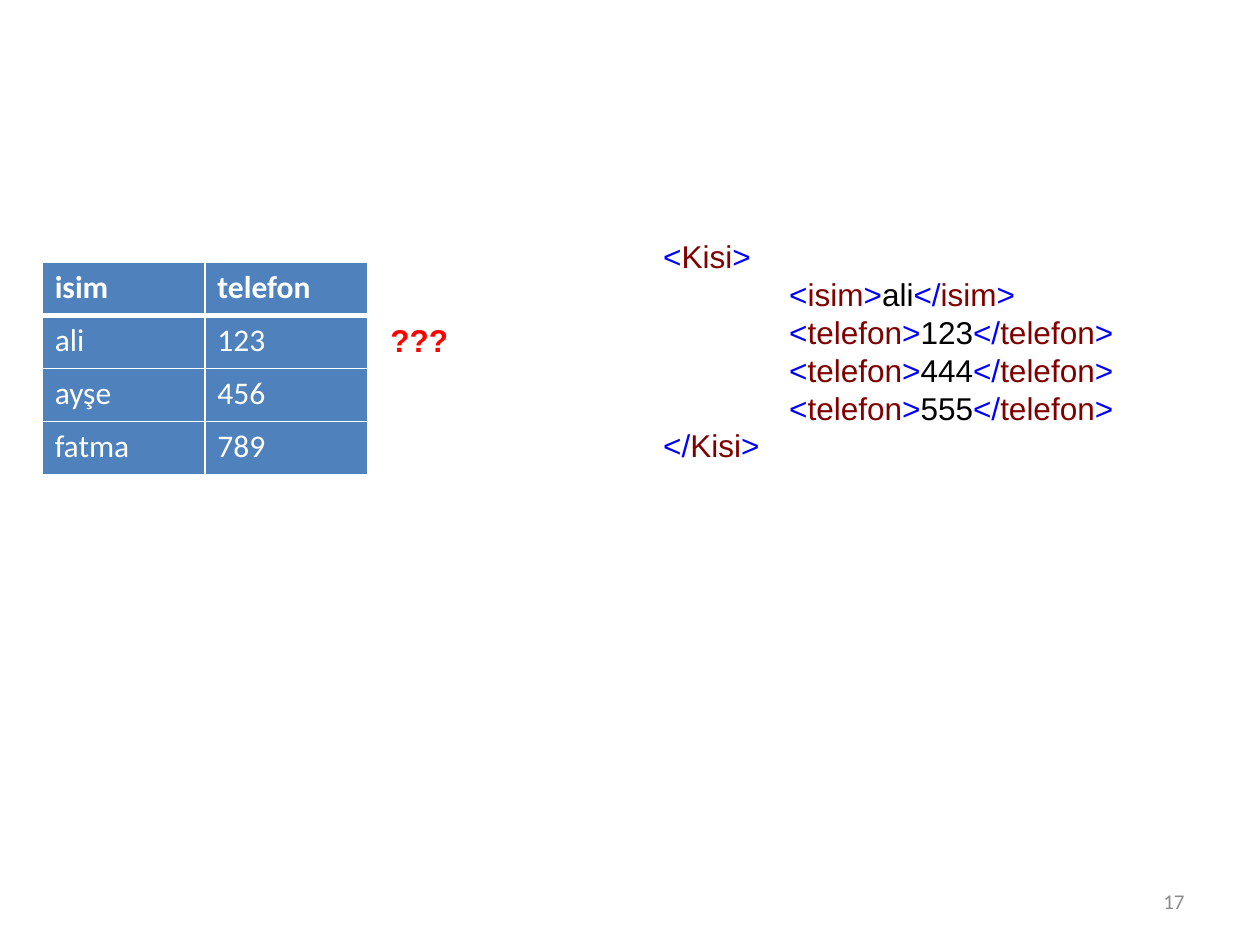
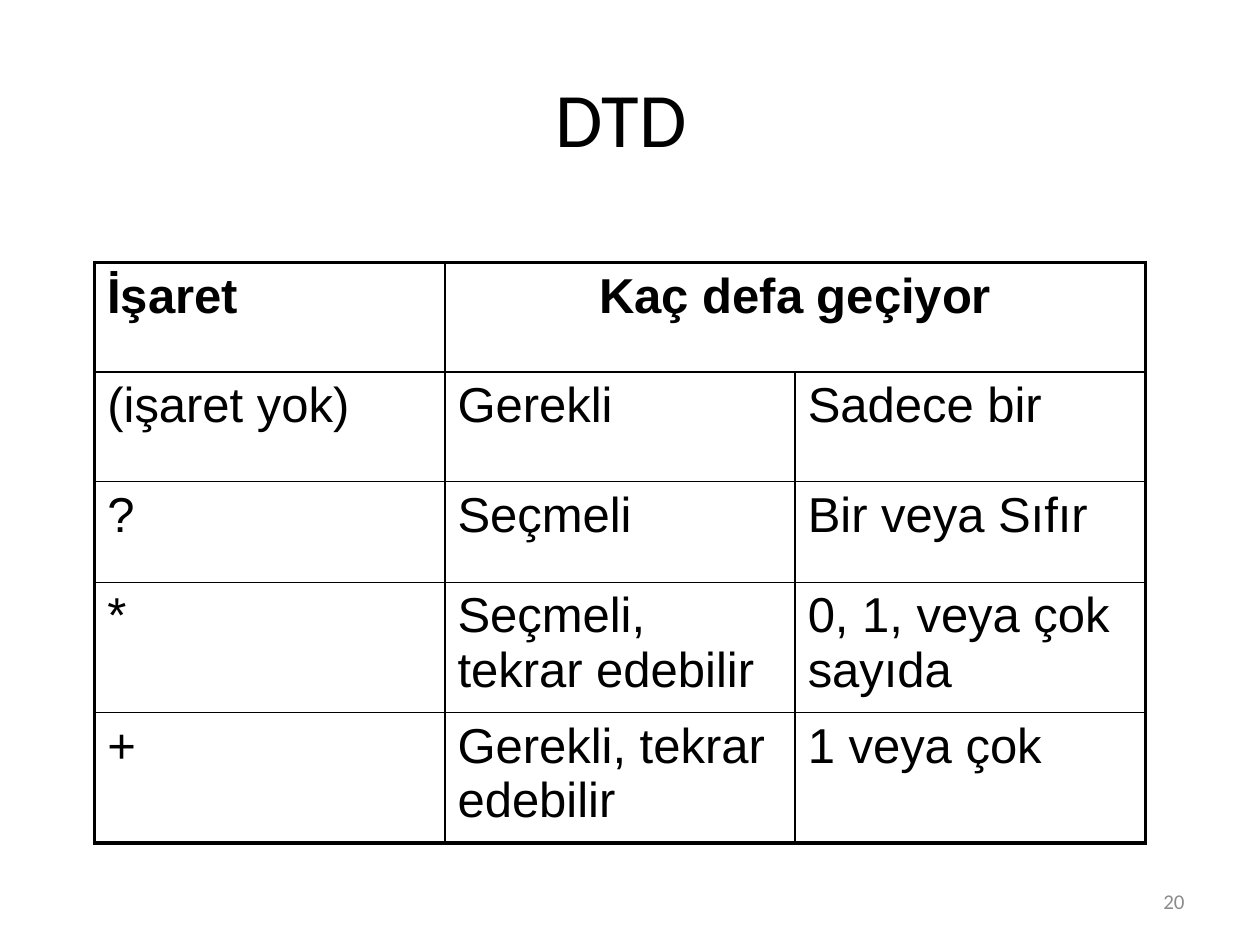
from lxml.etree import SubElement
from pptx import Presentation
from pptx.dml.color import RGBColor
from pptx.enum.text import MSO_ANCHOR as Anchor, MSO_AUTO_SIZE as AutoSize, PP_ALIGN as Align
from pptx.oxml.ns import qn
from pptx.util import Cm, Pt

BLACK, WHITE, RED = "000000", "FFFFFF", "FF0000"
BLUE, BRACKET, TAG, GREY = "4F81BD", "0000FF", "800000", "8C8C8C"
TITLE_BOX = (1.27, 0.76, 22.86, 3.18)
NUMBER_BOX = (18.21, 17.65, 5.92, 1.02)
TITLE_FONT = dict(name="Calibri", size=Pt(44), color=BLACK)
NUMBER_FONT = dict(name="Calibri", size=Pt(12), color=GREY)
CODE_FONT = dict(name="Arial", size=Pt(18))
CONTACT_FONT = dict(name="Calibri", size=Pt(18), color=WHITE)
SIGN_FONT = dict(name="Arial", size=Pt(28), color=BLACK)
THIN, THICK = 1, 2.25

CONTACTS = [("isim", "telefon"), ("ali", "123"), ("ayşe", "456"), ("fatma", "789")]
PERSON = [("isim", "ali"), ("telefon", "123"), ("telefon", "444"), ("telefon", "555")]
SIGNS = [
    ("İşaret", "Kaç defa geçiyor", ""),
    ("(işaret yok)", "Gerekli", "Sadece bir"),
    ("?", "Seçmeli", "Bir veya Sıfır"),
    ("*", "Seçmeli, tekrar edebilir", "0, 1, veya çok sayıda"),
    ("+", "Gerekli, tekrar edebilir", "1 veya çok"),
]


def rgb(hex_color):
    return RGBColor.from_string(hex_color)


def write(paragraph, text, style):
    run = paragraph.add_run()
    run.text = text
    for key, value in style.items():
        if key == "color":
            run.font.color.rgb = rgb(value)
        else:
            setattr(run.font, key, value)


def add_text_frame(slide, box, **options):
    frame = slide.shapes.add_textbox(*map(Cm, box)).text_frame
    for key, value in {"word_wrap": True, **options}.items():
        setattr(frame, key, value)
    return frame


def add_slide(deck, layout, number):
    """Add a slide that carries its page number."""
    slide = deck.slides.add_slide(deck.slide_layouts[layout])
    paragraph = add_text_frame(slide, NUMBER_BOX, vertical_anchor=Anchor.MIDDLE).paragraphs[0]
    paragraph.alignment = Align.RIGHT
    write(paragraph, number, NUMBER_FONT)
    return slide


def set_borders(cell, color, widths):
    """Draw the cell's edges; widths are in left, right, top, bottom order."""
    properties = cell._tc.get_or_add_tcPr()
    for edge, width in zip(("lnL", "lnR", "lnT", "lnB"), widths):
        line = SubElement(properties, qn(f"a:{edge}"), w=str(Pt(width)))
        SubElement(SubElement(line, qn("a:solidFill")), qn("a:srgbClr"), val=color)


def add_grid(slide, left, top, column_width, row_heights, rows, style):
    """Add a table with a bold first row and no built-in banding."""
    columns = len(rows[0])
    box = (left, top, column_width * columns, sum(row_heights))
    table = slide.shapes.add_table(len(rows), columns, *map(Cm, box)).table
    table.first_row = table.horz_banding = False
    for column in table.columns:
        column.width = Cm(column_width)
    for r, (row, height) in enumerate(zip(rows, row_heights)):
        table.rows[r].height = Cm(height)
        for c, text in enumerate(row):
            if text:
                write(table.cell(r, c).text_frame.paragraphs[0], text, {**style, "bold": r == 0})
    return table


def add_contact_table(slide, left, top):
    table = add_grid(slide, left, top, 3.28, [1.07] * len(CONTACTS), CONTACTS, CONTACT_FONT)
    for r in range(len(CONTACTS)):
        for cell in table.rows[r].cells:
            set_borders(cell, WHITE, (1, 1, 3 if r == 1 else 1, 3 if r == 0 else 1))
            cell.fill.solid()
            cell.fill.fore_color.rgb = rgb(BLUE)


def add_sign_table(slide, left, top):
    table = add_grid(slide, left, top, 7.06, [2.21, 2.21, 2.03, 2.46, 2.46], SIGNS, SIGN_FONT)
    heading = table.cell(0, 1)
    heading.merge(table.cell(0, 2))
    heading.text_frame.paragraphs[0].alignment = Align.CENTER
    last_row, last_column = len(SIGNS) - 1, len(SIGNS[0]) - 1
    for r in range(last_row + 1):
        for c in range(last_column + 1):
            cell = table.cell(r, c)
            right = c + (cell.span_width if cell.is_merge_origin else 1) - 1
            outer = (c == 0, right == last_column, r == 0, r == last_row)
            set_borders(cell, BLACK, [THICK if edge else THIN for edge in outer])
            cell.fill.background()


def opening(tag):
    return [("<", BRACKET), (tag, TAG), (">", BRACKET)]


def closing(tag):
    return [("</", BRACKET), (tag, TAG), (">", BRACKET)]


def add_person_xml(slide, box):
    fields = [(2, opening(tag) + [(value, BLACK)] + closing(tag)) for tag, value in PERSON]
    lines = [(1, opening("Kisi")), *fields, (1, closing("Kisi"))]
    frame = add_text_frame(slide, box, auto_size=AutoSize.SHAPE_TO_FIT_TEXT)
    for i, (level, pieces) in enumerate(lines):
        paragraph = frame.add_paragraph() if i else frame.paragraphs[0]
        paragraph.line_spacing = Pt(21.6)
        paragraph._p.get_or_add_pPr().set("marL", str(Cm(2.54 * level)))
        for text, color in pieces:
            write(paragraph, text, {**CODE_FONT, "color": color})


def add_question(slide, box):
    frame = add_text_frame(slide, box, word_wrap=False, auto_size=AutoSize.SHAPE_TO_FIT_TEXT)
    write(frame.paragraphs[0], "???", {**CODE_FONT, "color": RED, "bold": True})


def set_title(slide, text):
    title = slide.shapes.title
    for key, value in zip(("left", "top", "width", "height"), TITLE_BOX):
        setattr(title, key, Cm(value))
    title.text_frame.vertical_anchor = Anchor.MIDDLE
    paragraph = title.text_frame.paragraphs[0]
    paragraph.alignment = Align.CENTER
    write(paragraph, text, TITLE_FONT)


def build_contact_slide(deck):
    slide = add_slide(deck, 6, "17")
    add_contact_table(slide, 0.85, 5.29)
    add_person_xml(slide, (10.58, 4.66, 12.7, 4.88))
    add_question(slide, (7.62, 6.35, 1.68, 1.02))


def build_dtd_slide(deck):
    slide = add_slide(deck, 5, "20")
    set_title(slide, "DTD ")
    add_sign_table(slide, 1.91, 5.29)


def main():
    deck = Presentation()
    deck.slide_width, deck.slide_height = Cm(25.4), Cm(19.05)
    build_contact_slide(deck)
    build_dtd_slide(deck)
    deck.save("out.pptx")


if __name__ == "__main__":
    main()
